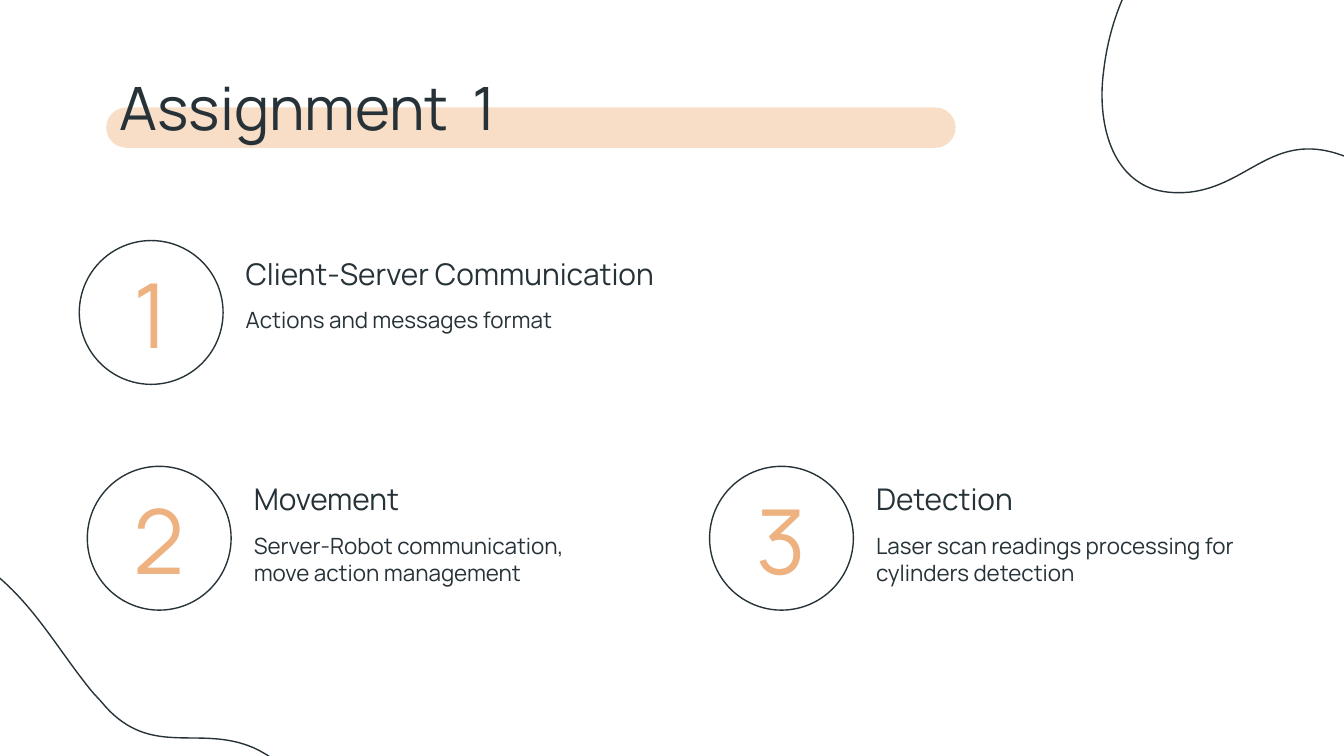
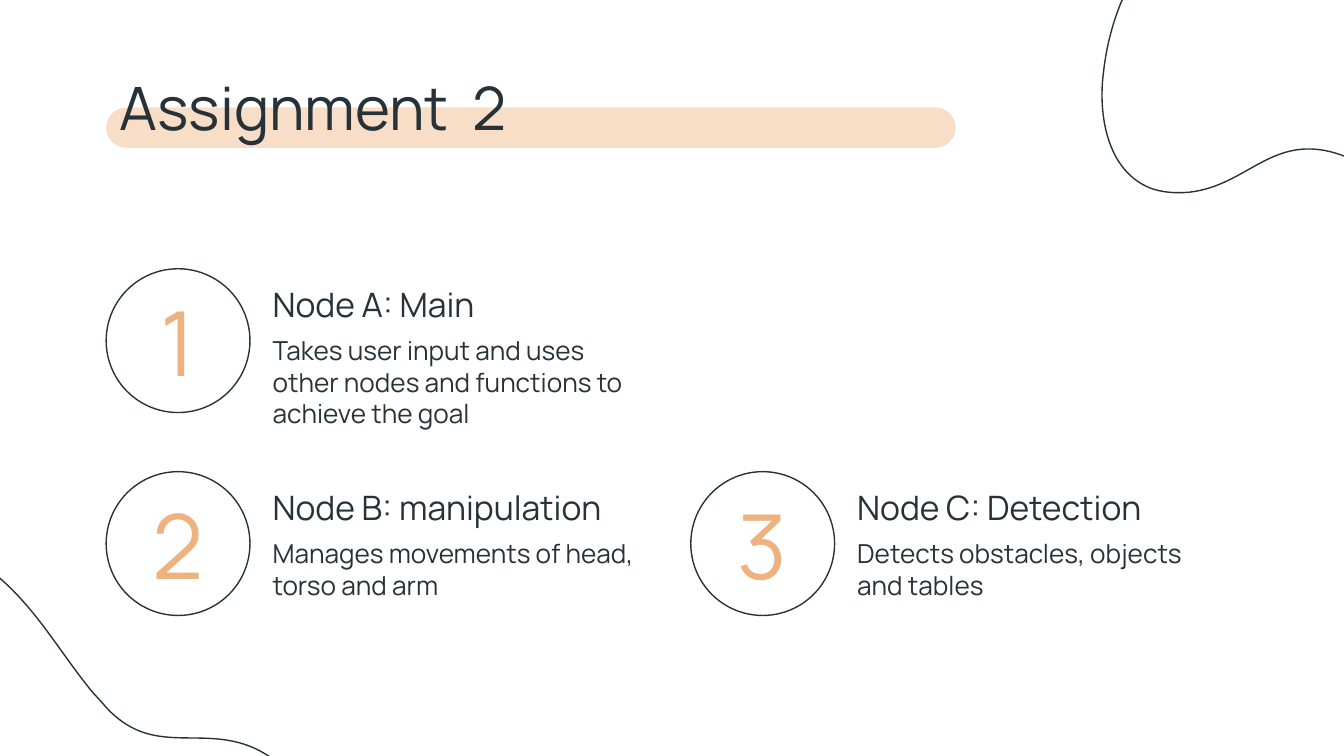
from math import cos, radians, sin

from lxml import etree
from pptx import Presentation
from pptx.dml.color import RGBColor
from pptx.enum.shapes import MSO_SHAPE
from pptx.enum.text import MSO_ANCHOR, MSO_AUTO_SIZE, PP_ALIGN
from pptx.oxml.ns import qn
from pptx.util import Inches, Pt

OVAL, ROUNDED = MSO_SHAPE.OVAL, MSO_SHAPE.ROUNDED_RECTANGLE
TOP, MIDDLE = MSO_ANCHOR.TOP, MSO_ANCHOR.MIDDLE
LEFT, CENTER = PP_ALIGN.LEFT, PP_ALIGN.CENTER
NO_FIT = MSO_AUTO_SIZE.NONE

COLORS = {"ink": "263238", "band": "F9DEC7", "number": "EDB280"}
FONT = "Manrope"
TITLE_ONLY = 5
CIRCLE = 1.07
TEXT_W = 2.93

# Blob outline in its corner pose: a start point, then cubic curve triples
BLOB_BOX, BLOB_TURN = (8.17, -1.26, 4.42, 3.25), 201
BLOB_POINTS = [
    (8.56, 1.4),
    (8.64, 1.43), (8.74, 1.44), (8.85, 1.43),
    (9.29, 1.38), (9.47, 0.98), (9.97, 1.15),
    (10.02, 1.17), (10.07, 1.18), (10.12, 1.2),
    (10.35, 1.29), (10.56, 1.4), (10.77, 1.48),
    (11.03, 1.58), (11.29, 1.64), (11.62, 1.59),
    (12.19, 1.52), (12.43, 1.18), (12.5, 0.71),
    (12.64, -0.11), (12.12, -0.71), (11.37, -1),
    (11.05, -1.12), (10.69, -1.18), (10.32, -1.18),
    (9.14, -1.18), (8.32, -0.46), (8.21, 0.54),
    (8.17, 0.84), (8.23, 1.27), (8.56, 1.4),
]
# Left, top and rotation of each blob
BLOBS = [(8.17, -1.26, BLOB_TURN), (-2.18, 4.1, 50.9)]

# Per slide: title, heading size, body size, and items as
# (left, top, heading, body, heading width, body height)
SLIDES = [
    ("Assignment  1", 16, 12, [
        (0.59, 1.79, "Client-Server Communication", "Actions and messages format",
         3.93, 0.67),
        (0.65, 3.47, "Movement", "Server-Robot communication, move action management",
         TEXT_W, 0.67),
        (5.28, 3.47, "Detection", "Laser scan readings processing for cylinders detection",
         TEXT_W, 0.67),
    ]),
    ("Assignment  2", 18, 14, [
        (0.79, 2, "Node A: Main",
         "Takes user input and uses other nodes and functions to achieve the goal",
         TEXT_W, 0.88),
        (0.79, 3.51, "Node B: manipulation", "Manages movements of head, torso and arm",
         3.08, 0.67),
        (5.14, 3.51, "Node C: Detection", "Detects obstacles, objects and tables",
         TEXT_W, 0.67),
    ]),
]


def rgb(name):
    return RGBColor.from_string(COLORS[name])


def outline(sp):
    """Leave a shape unfilled with a thin ink line."""
    sp.shadow.inherit = False
    sp.fill.background()
    sp.line.color.rgb = rgb("ink")
    sp.line.width = Pt(0.75)


def write(sp, text, size, color="ink", align=LEFT, anchor=TOP):
    tf = sp.text_frame
    tf.text = text
    tf.word_wrap = True
    tf.auto_size = NO_FIT
    tf.vertical_anchor = anchor
    tf.margin_left = tf.margin_right = tf.margin_top = tf.margin_bottom = Inches(0.1)
    p = tf.paragraphs[0]
    p.alignment = align
    font = p.runs[0].font
    font.name, font.size, font.color.rgb = FONT, Pt(size), rgb(color)


def add_text(s, x, y, w, h, *args, **style):
    sp = s.shapes.add_textbox(Inches(x), Inches(y), Inches(w), Inches(h))
    write(sp, *args, **style)


def blob_points():
    """Turn the outline upright, relative to the corner of its box."""
    left, top, w, h = BLOB_BOX
    c, d = cos(radians(BLOB_TURN)), sin(radians(BLOB_TURN))
    points = []
    for x, y in BLOB_POINTS:
        dx, dy = x - left - w / 2, y - top - h / 2
        points.append((Inches(w / 2 + dx * c + dy * d), Inches(h / 2 + dy * c - dx * d)))
    return points


def curve_path(blob, points, w, h):
    """Join the points by cubic curves, within a box of the given size."""
    path_el = next(blob._element.iter(qn("a:path")))
    path_el.set("w", str(w))
    path_el.set("h", str(h))
    for step in list(path_el)[1:-1]:
        path_el.remove(step)
    start, close = path_el
    for pt, (x, y) in zip(start, points):
        pt.set("x", str(x))
        pt.set("y", str(y))
    for i in range(1, len(points), 3):
        curve = etree.Element(qn("a:cubicBezTo"))
        for x, y in points[i:i + 3]:
            etree.SubElement(curve, qn("a:pt"), x=str(x), y=str(y))
        close.addprevious(curve)


def add_blob(s, left, top, turn):
    points = blob_points()
    builder = s.shapes.build_freeform(*points[0])
    builder.add_line_segments(points[1:], close=True)
    blob = builder.convert_to_shape()
    blob.left, blob.top = Inches(left), Inches(top)
    blob.width, blob.height = (Inches(v) for v in BLOB_BOX[2:])
    curve_path(blob, points, blob.width, blob.height)
    blob.rotation = turn
    outline(blob)


def add_decor(s):
    # Band behind the title
    band = s.shapes.add_shape(ROUNDED, Inches(0.79), Inches(0.8), Inches(6.32), Inches(0.3))
    band.adjustments[0] = 0.5
    band.shadow.inherit = False
    band.fill.solid()
    band.fill.fore_color.rgb = rgb("band")
    band.line.fill.background()
    # Blobs in two corners
    for blob in BLOBS:
        add_blob(s, *blob)


def add_title(s, text):
    title = s.shapes.title
    title.left, title.top = Inches(0.79), Inches(0.43)
    title.width, title.height = Inches(8.43), Inches(0.67)
    write(title, text, 32)
    # Bring the title in front of its band
    s.shapes._spTree.append(title._element)


def add_item(s, number, item, heading_size, body_size):
    x, y, heading, body, heading_w, body_h = item
    # Numbered circle
    circle = s.shapes.add_shape(OVAL, Inches(x), Inches(y), Inches(CIRCLE), Inches(CIRCLE))
    outline(circle)
    add_text(s, x + 0.05, y + 0.15, 0.97, 0.77, str(number), 48,
             color="number", align=CENTER, anchor=MIDDLE)
    # Heading and body
    text_x = x + 1.14
    add_text(s, text_x, y + 0.01, heading_w, 0.41, heading, heading_size)
    add_text(s, text_x, y + 0.39, TEXT_W, body_h, body, body_size)


def add_assignment(prs, title, heading_size, body_size, items):
    s = prs.slides.add_slide(prs.slide_layouts[TITLE_ONLY])
    add_decor(s)
    add_title(s, title)
    for number, item in enumerate(items, 1):
        add_item(s, number, item, heading_size, body_size)


def main():
    prs = Presentation()
    prs.slide_width = Inches(10)
    prs.slide_height = prs.slide_width * 9 // 16
    for slide in SLIDES:
        add_assignment(prs, *slide)
    prs.save("out.pptx")


if __name__ == "__main__":
    main()
